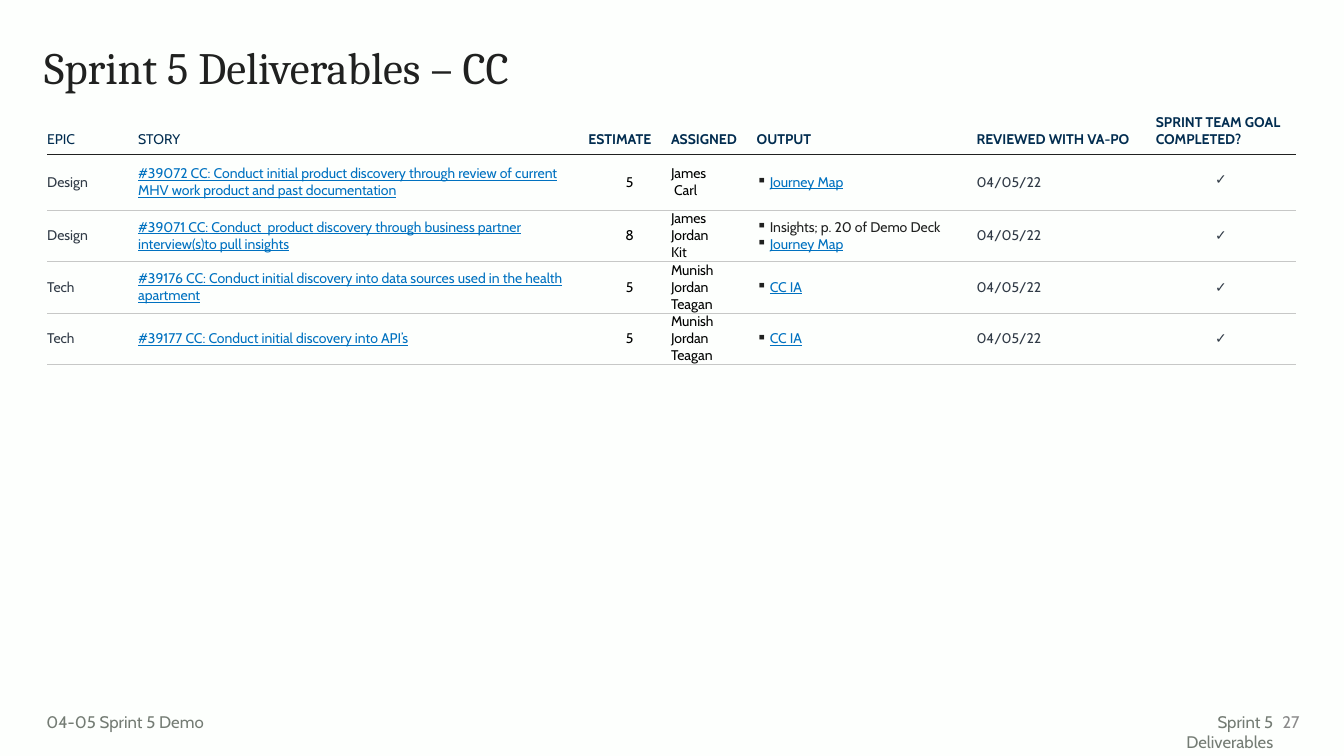
from lxml.etree import SubElement as Sub
from pptx import Presentation
from pptx.dml.color import RGBColor
from pptx.enum.text import MSO_ANCHOR as Anchor, PP_ALIGN as Align
from pptx.oxml import parse_xml
from pptx.oxml.ns import nsdecls, qn
from pptx.util import Cm, Pt

INK, NAVY, SLATE, BLACK = "202120", "022D50", "303A46", "000000"
LINK, RULE, FOOT, PAGE = "0071C0", "C7C8C7", "747C74", "8A8A8A"
PLAIN = "{2D5ABB26-0587-4C30-8999-92F81FD0307C}"


def tint(code):
    return RGBColor.from_string(code)


class Deck:
    font = "Cabin"
    small = 10

    def __init__(self):
        self.prs = Presentation()
        self.prs.slide_width, self.prs.slide_height = Cm(33.87), Cm(19.05)
        self.slide = self.prs.slides.add_slide(self.prs.slide_layouts[6])
        fill = self.slide.background.fill
        fill.solid()
        fill.fore_color.rgb = tint("FDFFFD")

    def style(self, para, size, color, face=None, bold=False, line=False):
        font = para.font
        font.name = face or self.font
        font.size = Pt(size)
        font.bold = bold
        font.underline = line
        font.color.rgb = tint(color)

    def text(self, box, words, size, color, face=None, align=Align.LEFT,
             anchor=Anchor.TOP, left=0.25, gap=1.0):
        frame = self.slide.shapes.add_textbox(*map(Cm, box)).text_frame
        frame.word_wrap = True
        frame.vertical_anchor = anchor
        frame.margin_left = Cm(left)
        frame.text = words
        para = frame.paragraphs[0]
        para.alignment = align
        para.line_spacing = gap
        self.style(para, size, color, face)

    def bullet(self, para):
        props = para._p.get_or_add_pPr()
        props.set("marL", str(Cm(0.33)))
        props.set("indent", str(-Cm(0.33)))
        color = Sub(props, qn("a:buClr"))
        Sub(color, qn("a:srgbClr"), val=INK)
        Sub(props, qn("a:buChar"), char="▪")

    def border(self, cell, color, width):
        cell._tc.get_or_add_tcPr().insert(0, parse_xml(
            f'<a:lnB {nsdecls("a")} w="{Pt(width)}"><a:solidFill>'
            f'<a:srgbClr val="{color}"/></a:solidFill></a:lnB>'))

    def cell(self, cell, words, color, pad, anchor=Anchor.MIDDLE,
             align=Align.LEFT, bold=False, dots=False, head=False):
        cell.fill.background()
        self.border(cell, *((INK, 1) if head else (RULE, 0.5)))
        cell.vertical_anchor = anchor
        cell.margin_left, cell.margin_top, cell.margin_right = map(Cm, pad)
        cell.margin_bottom = 0
        lines = words.split("\n")
        cell.text_frame.text = words.replace("@", "")
        for para, line in zip(cell.text_frame.paragraphs, lines):
            link = line.startswith("@")
            para.alignment = align
            if dots:
                self.bullet(para)
            self.style(para, self.small, LINK if link else color,
                       bold=bold, line=link)

    def table(self, left, top, cols, rows):
        frame = self.slide.shapes.add_table(
            len(rows), len(cols), Cm(left), Cm(top),
            Cm(sum(cols)), Cm(sum(rows)))
        grid = frame.table
        grid.first_row = grid.horz_banding = False
        grid._tbl.tblPr.find(qn("a:tableStyleId")).text = PLAIN
        for col, size in zip(grid.columns, cols):
            col.width = Cm(size)
        for row, size in zip(grid.rows, rows):
            row.height = Cm(size)
        return grid


HEADS = ["EPIC", "STORY", "ESTIMATE", "ASSIGNED", "OUTPUT",
         "REVIEWED WITH VA-PO", "SPRINT TEAM GOAL COMPLETED?"]
TASKS = [
    ("Design", "@#39072 CC: Conduct initial product discovery through review "
     "of current MHV work product and past documentation",
     "5", "James\n Carl", "@Journey Map"),
    ("Design", "@#39071 CC: Conduct  product discovery through business "
     "partner interview(s)to pull insights",
     "8", "James\nJordan Kit",
     "Insights; p. 20 of Demo Deck\n@Journey Map"),
    ("Tech", "@#39176 CC: Conduct initial discovery into data sources used "
     "in the health apartment", "5", "Munish\vJordan Teagan", "@CC IA"),
    ("Tech", "@#39177 CC: Conduct initial discovery into API’s",
     "5", "Munish Jordan\nTeagan", "@CC IA"),
]
FLAT, SLIM = (0, 0, 0), (0, 0, 1.02)
LOOKS = [
    dict(color=SLATE, pad=SLIM),
    dict(color=LINK, pad=FLAT),
    dict(color=BLACK, pad=FLAT, align=Align.CENTER),
    dict(color=BLACK, pad=SLIM),
    dict(color=INK, pad=FLAT, dots=True),
    dict(color=SLATE, pad=FLAT),
    dict(color=SLATE, pad=(0, 0.43, 0), anchor=Anchor.TOP,
         align=Align.CENTER),
]


def main():
    deck = Deck()
    deck.text((0.86, 1.04, 31.55, 2.08), "Sprint 5 Deliverables – CC",
              32, INK, "Cambria", gap=0.9)
    deck.text((31.88, 17.68, 1.12, 1.02), "27", 12, PAGE,
              align=Align.RIGHT, anchor=Anchor.MIDDLE)
    grid = deck.table(1.19, 2.87, [2.29, 11.35, 2.08, 2.16, 5.54, 4.27, 3.78],
                      [1.02, 1.4] + [1.3] * 3)
    last = len(HEADS) - 1
    for col, words in enumerate(HEADS):
        end = col == last
        pad = (0.25, 0, 0.25) if end else (0, 0.25, 0.25 if col < 4 else 0)
        deck.cell(grid.cell(0, col), words, NAVY, pad, bold=col > 1, head=True,
                  anchor=Anchor.TOP if end else Anchor.MIDDLE)
    for row, task in enumerate(TASKS, 1):
        for col, words in enumerate((*task, "04/05/22", "✓")):
            deck.cell(grid.cell(row, col), words, **LOOKS[col])
    deck.text((28.17, 17.81, 4.17, 0.76), "Sprint 5 Deliverables", 12, FOOT,
              align=Align.RIGHT)
    deck.text((1.17, 17.81, 7.57, 0.76), "04-05 Sprint 5 Demo", 12, FOOT,
              left=0)
    deck.prs.save("out.pptx")


if __name__ == "__main__":
    main()
